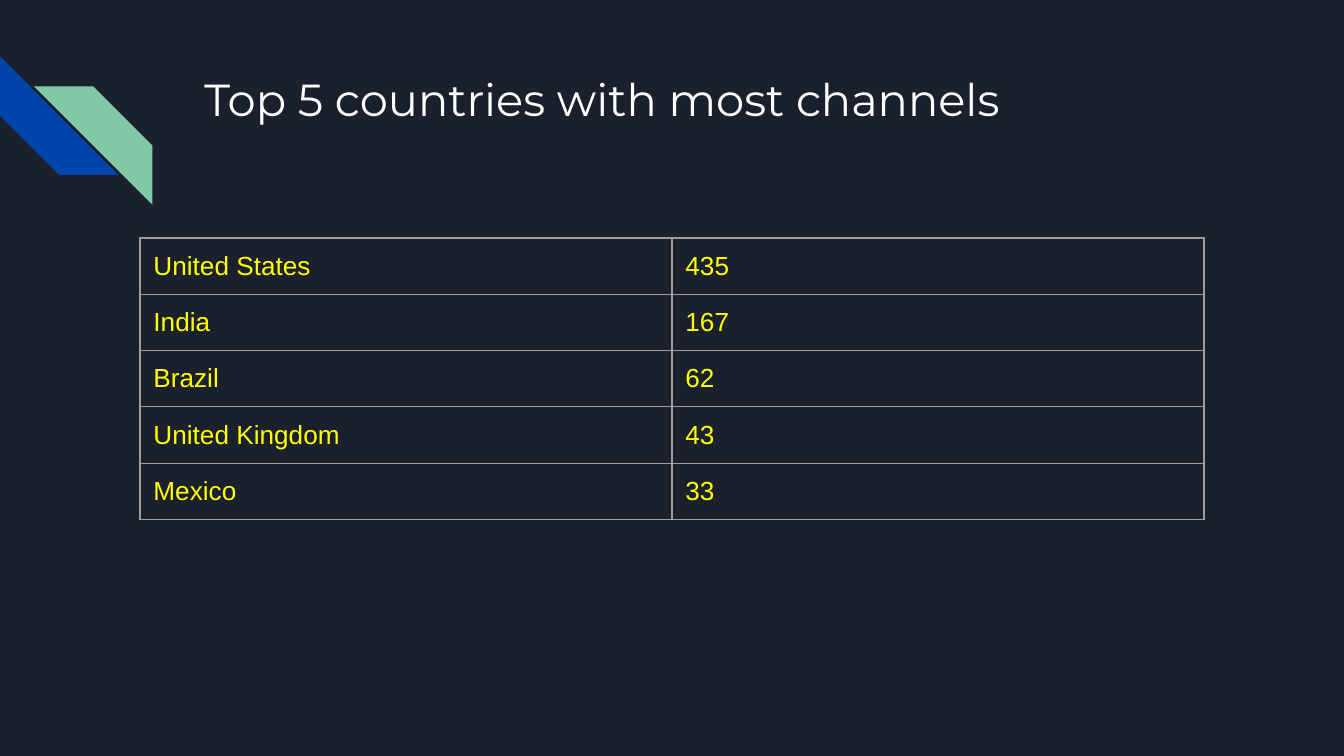
"""Build the slide that ranks countries by number of channels."""
from lxml import etree
from pptx import Presentation
from pptx.dml.color import RGBColor
from pptx.enum.shapes import MSO_SHAPE
from pptx.enum.text import MSO_ANCHOR, MSO_AUTO_SIZE, PP_ALIGN
from pptx.oxml.ns import qn
from pptx.util import Pt

STRIPE = MSO_SHAPE.DIAGONAL_STRIPE
TOP = MSO_ANCHOR.TOP
LEFT = PP_ALIGN.LEFT
NO_AUTOFIT = MSO_AUTO_SIZE.NONE

NIGHT = RGBColor(0x1B, 0x21, 0x2C)
BLUE = RGBColor(0x01, 0x45, 0xAC)
GREEN = RGBColor(0x82, 0xC7, 0xA5)
WHITE = RGBColor(0xFF, 0xFF, 0xFF)
YELLOW = RGBColor(0xFF, 0xFF, 0x00)
GRAY = RGBColor(0x9E, 0x9E, 0x9E)

COUNTRIES = [
    ("United States", "435"),
    ("India", "167"),
    ("Brazil", "62"),
    ("United Kingdom", "43"),
    ("Mexico", "33"),
]


class SlideBuilder:
    title_font, title_size = "Montserrat", 24
    table_font, table_size = "Arial", 14
    inset = 7.2
    border_width = 0.75

    def __init__(self, presentation):
        self.slide = presentation.slides.add_slide(presentation.slide_layouts[5])
        fill = self.slide.background.fill
        fill.solid()
        fill.fore_color.rgb = NIGHT

    def format_text(self, paragraph, name, size, color):
        paragraph.alignment = LEFT
        for run in paragraph.runs:
            font = run.font
            font.name, font.size, font.bold = name, Pt(size), False
            font.color.rgb = color

    def set_margins(self, holder):
        holder.margin_left = holder.margin_right = Pt(self.inset)
        holder.margin_top = holder.margin_bottom = Pt(self.inset)

    def add_stripe(self, left, top, size, rotation, color):
        shape = self.slide.shapes.add_shape(
            STRIPE, Pt(left), Pt(top), Pt(size), Pt(size))
        shape.rotation = rotation
        shape.shadow.inherit = False
        shape.fill.solid()
        shape.fill.fore_color.rgb = color
        shape.line.fill.background()

    def add_title(self, text, left, top, width, height):
        title = self.slide.shapes.title
        title.left, title.top = Pt(left), Pt(top)
        title.width, title.height = Pt(width), Pt(height)
        text_frame = title.text_frame
        text_frame.text = text
        text_frame.word_wrap = True
        text_frame.auto_size = NO_AUTOFIT
        text_frame.vertical_anchor = TOP
        self.set_margins(text_frame)
        self.format_text(
            text_frame.paragraphs[0], self.title_font, self.title_size, WHITE)

    def add_borders(self, cell):
        properties = cell._tc.get_or_add_tcPr()
        for side in ("lnL", "lnR", "lnT", "lnB"):
            line = etree.SubElement(
                properties, qn(f"a:{side}"), w=str(Pt(self.border_width)))
            fill = etree.SubElement(line, qn("a:solidFill"))
            etree.SubElement(fill, qn("a:srgbClr"), val=str(GRAY))

    def add_table(self, rows, left, top, column_width, row_height):
        row_count, column_count = len(rows), len(rows[0])
        table = self.slide.shapes.add_table(
            row_count, column_count, Pt(left), Pt(top),
            Pt(column_width * column_count), Pt(row_height * row_count)).table
        table.first_row = table.horz_banding = False
        for row_index, values in enumerate(rows):
            for column_index, value in enumerate(values):
                cell = table.cell(row_index, column_index)
                cell.text_frame.text = value
                self.set_margins(cell)
                self.add_borders(cell)
                cell.fill.background()
                self.format_text(cell.text_frame.paragraphs[0],
                                 self.table_font, self.table_size, YELLOW)


def main():
    presentation = Presentation()
    presentation.slide_width, presentation.slide_height = Pt(720), Pt(405)
    builder = SlideBuilder(presentation)
    builder.add_stripe(0, 30.2, 63.5, 270, BLUE)
    builder.add_stripe(18.2, 46.3, 63.5, 90, GREEN)
    builder.add_title("Top 5 countries with most channels", 102.3, 31, 554.4, 72)
    builder.add_table(COUNTRIES, 75, 127.5, 285, 30)
    presentation.save("out.pptx")


if __name__ == "__main__":
    main()
